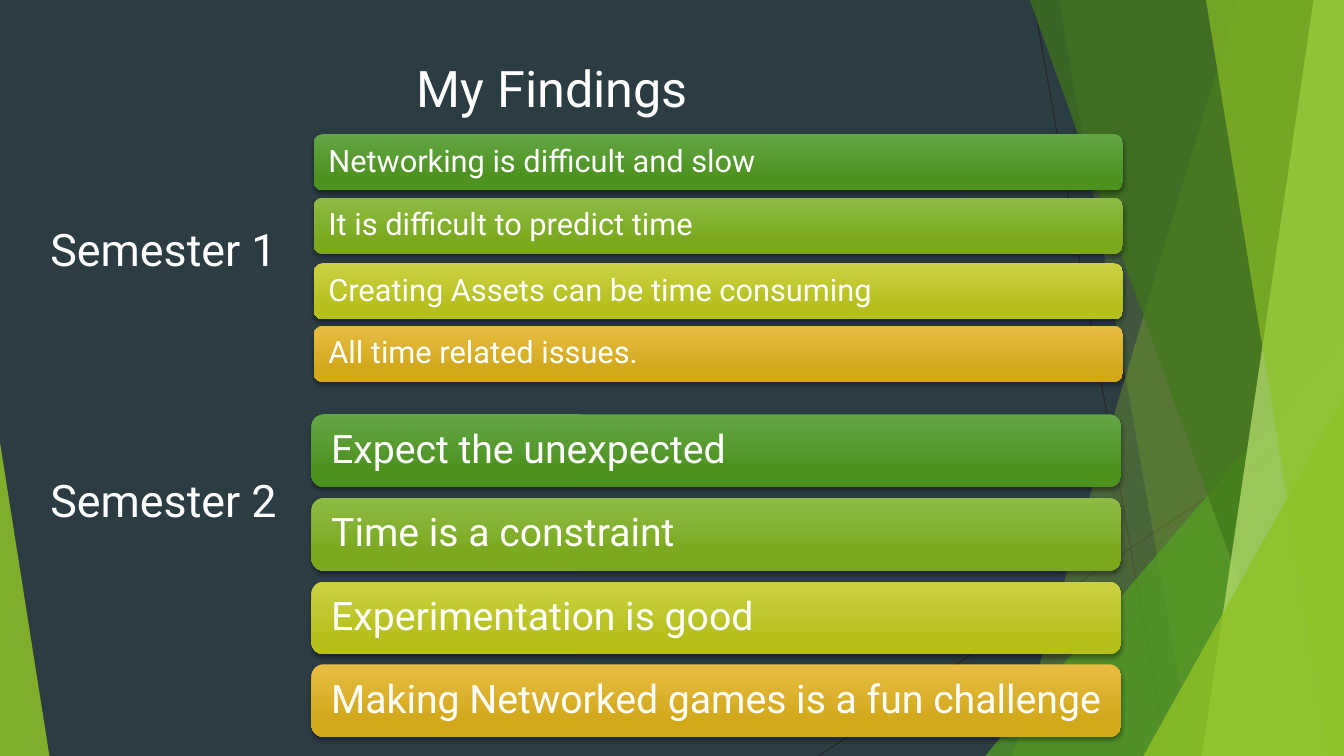
from lxml import etree
from pptx import Presentation
from pptx.dml.color import RGBColor
from pptx.enum import shapes, text
from pptx.oxml import ns
from pptx.util import Inches, Pt

# Content
HEADING = "My Findings"
SEMESTERS = [
    dict(label="Semester 1", label_box=(0.4, 1.31, 2.79, 2.32),
         left=3.11, height=0.56, size=22, inset=0.12,
         findings=[(1.33, "Networking is difficult and slow"),
                   (1.96, "It is difficult to predict time"),
                   (2.61, "Creating Assets can be time consuming"),
                   (3.23, "All time related issues.")]),
    dict(label="Semester 2", label_box=(0.4, 3.8, 2.49, 2.32),
         left=3.09, height=0.72, size=28, inset=0.16,
         findings=[(4.11, "Expect the unexpected"),
                   (4.94, "Time is a constraint"),
                   (5.77, "Experimentation is good"),
                   (6.59, "Making Networked games is a fun challenge")]),
]

# Style
FONT = "Roboto"
COLORS = dict(back="2C3C43", text="FFFFFF", line="262626", shadow="000000",
              lime="90C226", green="54A021", forest="3F7819", pale="C0E474")
BAR_GRADIENTS = [("63A545", "4D921E"), ("8EBB44", "7BA81D"),
                 ("CAD243", "B6BF1B"), ("E7BC43", "D2A91B")]
BAR_WIDTH = 8.03

# Backdrop, back to front
TOP, RIGHT, BOTTOM = -0.01, 13.33, 7.5
RAYS = [(10.25, 0, 11.58, 7.5), (13.33, 4.03, 8.12, 7.5)]
FACETS = [  # bands: x at top and bottom; triangles: box and apex
    dict(band=(12.28, 10.04), color="lime", opacity=30),
    dict(band=(10.5, 11.83), color="lime", opacity=20),
    dict(box=(9.77, 3.33, 3.56, 4.17), apex=1, color="green", opacity=72),
    dict(band=(10.21, 12.91), color="forest", opacity=70),
    dict(band=(13.03, 11.92), color="pale", opacity=70),
    dict(band=(11.96, 13.18), color="lime", opacity=65),
    dict(box=(11.34, 3.93, 1.99, 3.57), apex=1, color="lime", opacity=80),
    dict(box=(0, 4.39, 0.49, 3.11), apex=0, color="lime", opacity=85),
]


def rgb(name):
    return RGBColor.from_string(COLORS[name])


def inches(values):
    return [Inches(v) for v in values]


def add_alpha(color, percent):
    etree.SubElement(color, ns.qn("a:alpha"), val=str(percent * 1000))


def write(shape, words, size, align=text.PP_ALIGN.LEFT,
          anchor=text.MSO_ANCHOR.MIDDLE, inset=0.1, spacing=1.0):
    frame = shape.text_frame
    frame.text = words
    frame.word_wrap = True
    frame.auto_size = text.MSO_AUTO_SIZE.NONE
    frame.vertical_anchor = anchor
    frame.margin_left = frame.margin_right = Inches(inset)
    frame.margin_top = frame.margin_bottom = Inches(0.05)
    line = frame.paragraphs[0]
    line.alignment = align
    line.line_spacing = spacing
    font = line.runs[0].font
    font.name, font.size, font.color.rgb = FONT, Pt(size), rgb("text")


def add_ray(slide, ends):
    ray = slide.shapes.add_connector(shapes.MSO_CONNECTOR.STRAIGHT, *inches(ends))
    ray.line.color.rgb = rgb("line")
    ray.line.width = Pt(0.75)
    etree.SubElement(ray.element.spPr, ns.qn("a:effectLst"))


def add_facet(slide, color, opacity, band=None, box=None, apex=0):
    if band:
        x_top, x_bottom = band
        outline = slide.shapes.build_freeform(Inches(x_top), Inches(TOP), 1.0)
        corners = [(RIGHT, TOP), (RIGHT, BOTTOM), (x_bottom, BOTTOM)]
        outline.add_line_segments([inches(c) for c in corners], close=True)
        facet = outline.convert_to_shape()
    else:
        facet = slide.shapes.add_shape(
            shapes.MSO_SHAPE.ISOSCELES_TRIANGLE, *inches(box))
        facet.adjustments[0] = apex
    facet.shadow.inherit = False
    facet.line.fill.background()
    facet.fill.solid()
    facet.fill.fore_color.rgb = rgb(color)
    add_alpha(facet.element.spPr.find(".//" + ns.qn("a:srgbClr")), opacity)


def add_bar(slide, box, gradient):
    bar = slide.shapes.add_shape(shapes.MSO_SHAPE.ROUNDED_RECTANGLE, *inches(box))
    bar.line.fill.background()
    bar.fill.gradient()
    bar.fill.gradient_angle = 270
    for stop, position, color in zip(bar.fill.gradient_stops, (0, 0.78), gradient):
        stop.position = position
        stop.color.rgb = RGBColor.from_string(color)
    # Soft shadow straight below
    bar.shadow.inherit = False
    effects = bar.element.spPr.find(ns.qn("a:effectLst"))
    shadow = etree.SubElement(
        effects, ns.qn("a:outerShdw"), blurRad=str(Pt(3)), dist=str(Pt(2)),
        dir="5400000", rotWithShape="0")
    color = etree.SubElement(shadow, ns.qn("a:srgbClr"), val=COLORS["shadow"])
    add_alpha(color, 35)
    return bar


def main():
    deck = Presentation()
    deck.slide_width, deck.slide_height = Inches(13.33), Inches(7.5)
    slide = deck.slides.add_slide(deck.slide_layouts.get_by_name("Title Only"))
    slide.background.fill.solid()
    slide.background.fill.fore_color.rgb = rgb("back")

    # Backdrop
    for ends in RAYS:
        add_ray(slide, ends)
    for facet in FACETS:
        add_facet(slide, **facet)

    # Heading
    heading = slide.shapes.title
    heading.left, heading.top, heading.width, heading.height = inches(
        (1.1, 0.52, 8.76, 0.71))
    write(heading, HEADING, 36, align=text.PP_ALIGN.CENTER,
          anchor=text.MSO_ANCHOR.TOP)

    # Semesters with their findings
    for semester in SEMESTERS:
        label = slide.shapes.add_textbox(*inches(semester["label_box"]))
        write(label, semester["label"], 32)
        for (top, finding), gradient in zip(semester["findings"], BAR_GRADIENTS):
            box = (semester["left"], top, BAR_WIDTH, semester["height"])
            write(add_bar(slide, box, gradient), finding, semester["size"],
                  inset=semester["inset"], spacing=0.9)

    deck.save("out.pptx")


if __name__ == "__main__":
    main()
